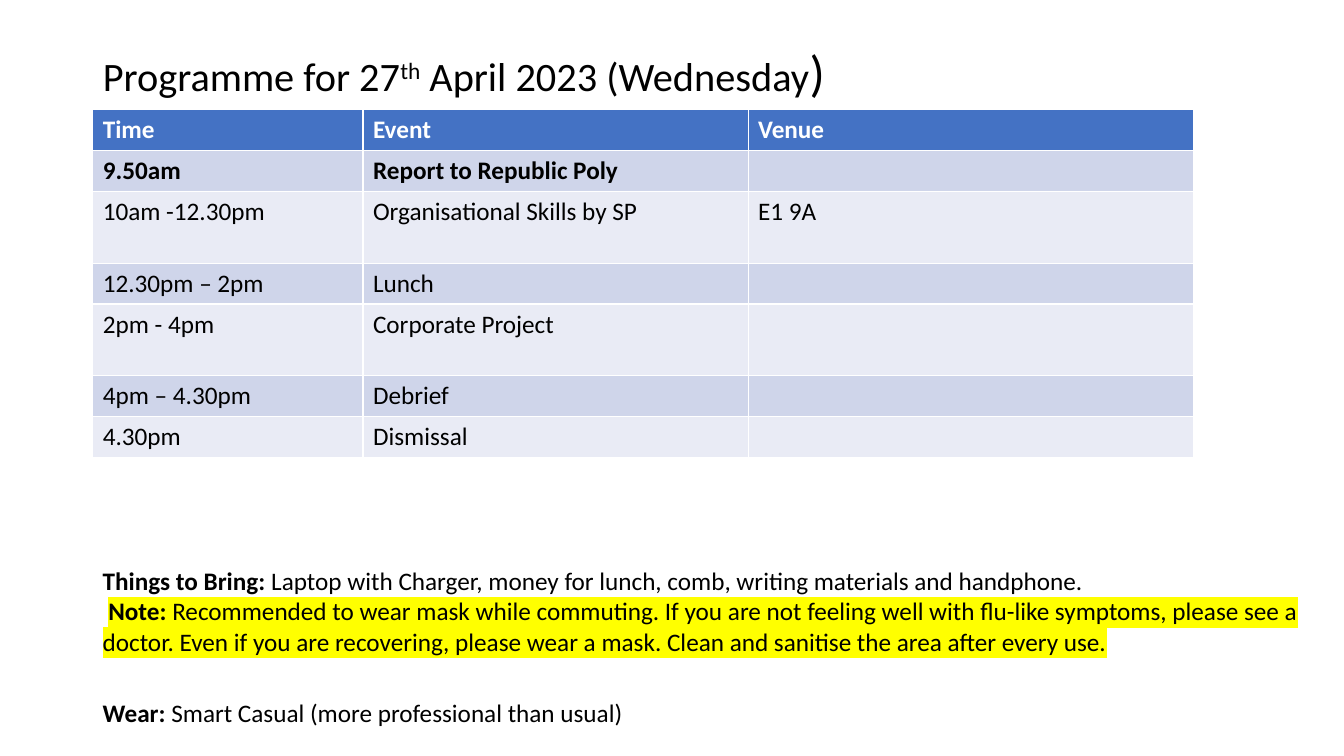
from lxml.etree import SubElement
from pptx import Presentation
from pptx.dml.color import RGBColor
from pptx.enum.text import MSO_ANCHOR, MSO_AUTO_SIZE, PP_ALIGN
from pptx.oxml.ns import qn
from pptx.util import Inches, Pt

FONT = "Calibri"
BLACK = RGBColor(0x00, 0x00, 0x00)
WHITE = RGBColor(0xFF, 0xFF, 0xFF)
HEADER_BLUE = RGBColor(0x44, 0x72, 0xC4)
BAND_DARK = RGBColor(0xCF, 0xD5, 0xEA)
BAND_LIGHT = RGBColor(0xE9, 0xEB, 0xF5)
YELLOW = RGBColor(0xFF, 0xFF, 0x00)

LEFT = 0.92
COLUMN_WIDTHS = [2.68, 3.82, 4.42]
ROW_HEIGHT = 0.4
TALL_ROW_HEIGHT = 0.71
TALL_ROWS = (2, 4)
PROGRAMME = [
    ("Time", "Event", "Venue"),
    ("9.50am", "Report to Republic Poly", ""),
    ("10am -12.30pm", "Organisational Skills by SP", "E1 9A"),
    ("12.30pm – 2pm", "Lunch", ""),
    ("2pm - 4pm", "Corporate Project", ""),
    ("4pm – 4.30pm", "Debrief", ""),
    ("4.30pm", "Dismissal", ""),
]


def format_paragraph(paragraph, size=18, color=BLACK, bold=False):
    font = paragraph.font
    font.name, font.size, font.bold = FONT, Pt(size), bold
    font.color.rgb = color


def add_run(paragraph, text, bold=None, highlight=None):
    run = paragraph.add_run()
    run.text = text
    run.font.bold = bold
    if highlight is not None:
        mark = SubElement(run._r.get_or_add_rPr(), qn("a:highlight"))
        SubElement(mark, qn("a:srgbClr")).set("val", str(highlight))
    return run


def add_title(slide):
    title = slide.shapes.title
    title.left, title.top = Inches(LEFT), Inches(0.4)
    title.width, title.height = Inches(11.18), Inches(0.69)
    frame = title.text_frame
    frame.vertical_anchor = MSO_ANCHOR.MIDDLE
    frame.auto_size = MSO_AUTO_SIZE.NONE
    paragraph = frame.paragraphs[0]
    paragraph.alignment = PP_ALIGN.LEFT
    paragraph.line_spacing = 0.9
    format_paragraph(paragraph, size=28.8)
    add_run(paragraph, "Programme for 27")
    ordinal = add_run(paragraph, "th")
    ordinal._r.get_or_add_rPr().set("baseline", "30000")
    add_run(paragraph, " April 2023 (Wednesday")
    add_run(paragraph, ")").font.size = Pt(36)
    for run in paragraph.runs[:-1]:
        run.font.size = Pt(28.8)


def add_programme_table(slide):
    heights = [TALL_ROW_HEIGHT if row in TALL_ROWS else ROW_HEIGHT
               for row in range(len(PROGRAMME))]
    table = slide.shapes.add_table(
        len(PROGRAMME), len(COLUMN_WIDTHS), Inches(LEFT), Inches(1.09),
        Inches(sum(COLUMN_WIDTHS)), Inches(sum(heights))).table
    for column, width in zip(table.columns, COLUMN_WIDTHS):
        column.width = Inches(width)
    for index, texts in enumerate(PROGRAMME):
        table.rows[index].height = Inches(heights[index])
        band = BAND_DARK if index % 2 else BAND_LIGHT
        for cell, text in zip(table.rows[index].cells, texts):
            cell.fill.solid()
            cell.fill.fore_color.rgb = HEADER_BLUE if index == 0 else band
            cell.text = text
            format_paragraph(cell.text_frame.paragraphs[0],
                             color=WHITE if index == 0 else BLACK,
                             bold=index < 2)


def add_notes_box(slide, top, width, height, paragraphs):
    """Each paragraph is a list of (text, bold, highlight) runs."""
    box = slide.shapes.add_textbox(
        Inches(LEFT), Inches(top), Inches(width), Inches(height))
    frame = box.text_frame
    frame.word_wrap = True
    for index, runs in enumerate(paragraphs):
        paragraph = frame.add_paragraph() if index else frame.paragraphs[0]
        format_paragraph(paragraph)
        for text, bold, highlight in runs:
            add_run(paragraph, text, bold, highlight)


def main():
    presentation = Presentation()
    presentation.slide_width = Inches(13.33)
    presentation.slide_height = Inches(7.5)
    slide = presentation.slides.add_slide(presentation.slide_layouts[5])

    # Title and timetable
    add_title(slide)
    add_programme_table(slide)

    # Reminders below the timetable
    add_notes_box(slide, 5.56, 12.07, 1.01, [
        [("Things to Bring: ", True, None),
         ("Laptop with Charger, money for lunch, comb, writing materials "
          "and handphone.", False, None)],
        [(" ", False, None),
         ("Note: ", True, YELLOW),
         ("Recommended to wear mask while commuting. If you are not feeling "
          "well with flu-like symptoms, please see a doctor. Even if you are "
          "recovering, please wear a mask. Clean and sanitise the area after "
          "every use.", False, YELLOW)],
    ])
    add_notes_box(slide, 6.87, 6.65, 0.4, [
        [("Wear: ", True, None),
         ("Smart Casual (more professional than usual)", False, None)],
    ])

    presentation.save("out.pptx")


if __name__ == "__main__":
    main()
